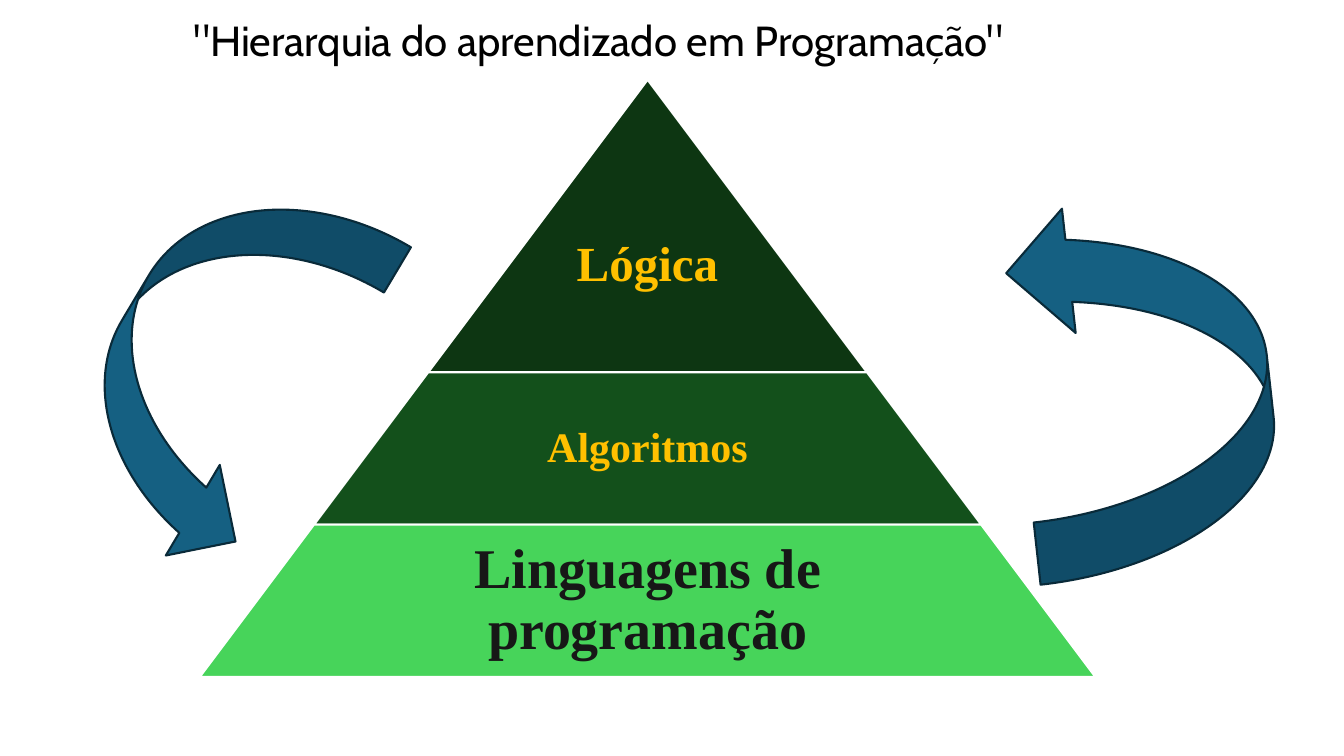
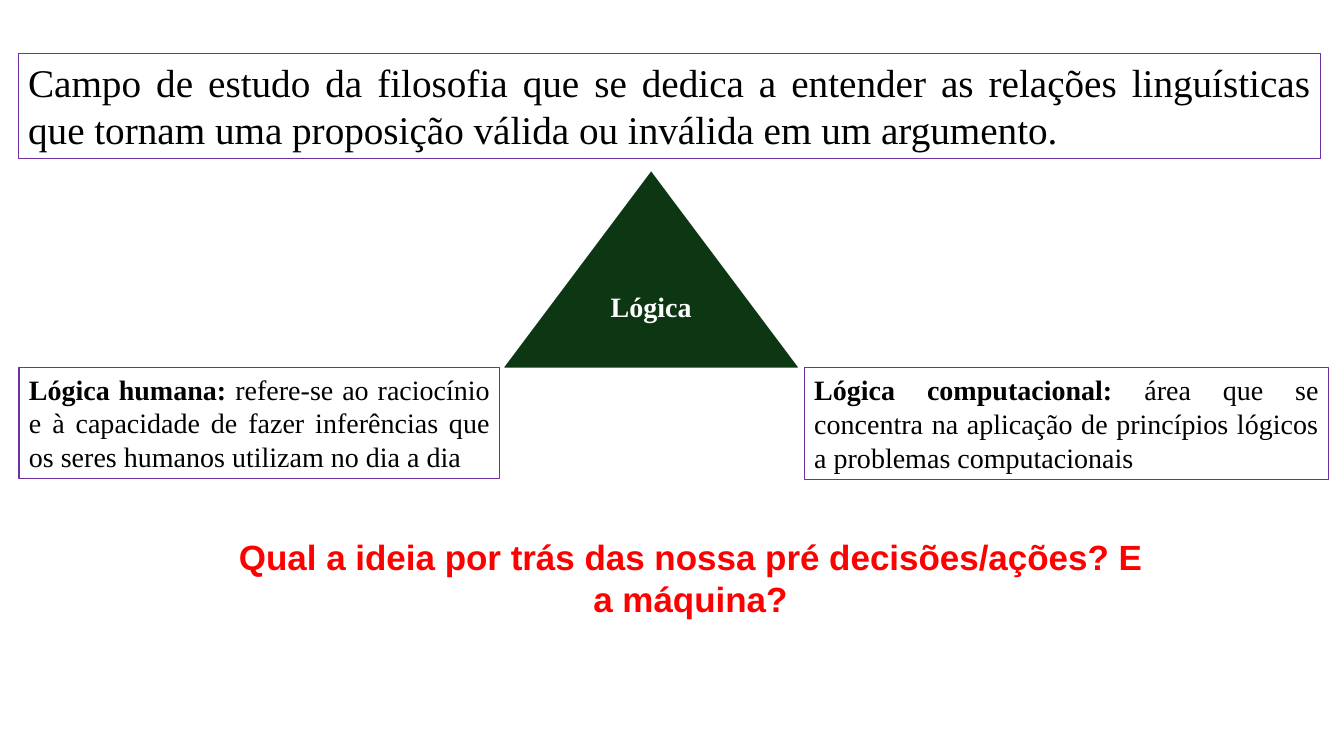
from pptx import Presentation
from pptx.dml.color import RGBColor
from pptx.enum.shapes import MSO_SHAPE
from pptx.enum.text import MSO_ANCHOR, MSO_AUTO_SIZE, PP_ALIGN
from pptx.util import Cm, Pt

TRAPEZOID = MSO_SHAPE.TRAPEZOID
ARROW_RIGHT = MSO_SHAPE.CURVED_RIGHT_ARROW
ARROW_UP = MSO_SHAPE.CURVED_UP_ARROW
TOP, MIDDLE = MSO_ANCHOR.TOP, MSO_ANCHOR.MIDDLE
LEFT, CENTER, JUSTIFY = PP_ALIGN.LEFT, PP_ALIGN.CENTER, PP_ALIGN.JUSTIFY
GROW = MSO_AUTO_SIZE.SHAPE_TO_FIT_TEXT

BLACK = RGBColor(0x00, 0x00, 0x00)
WHITE = RGBColor(0xFF, 0xFF, 0xFF)
DARK_GREEN = RGBColor(0x0D, 0x36, 0x12)
MID_GREEN = RGBColor(0x13, 0x50, 0x1B)
LIGHT_GREEN = RGBColor(0x47, 0xD4, 0x5A)
GOLD = RGBColor(0xFF, 0xC0, 0x00)
CHARCOAL = RGBColor(0x17, 0x17, 0x17)
TEAL = RGBColor(0x15, 0x60, 0x82)
DARK_TEAL = RGBColor(0x09, 0x2A, 0x39)
PURPLE = RGBColor(0x70, 0x30, 0xA0)
RED = RGBColor(0xFF, 0x00, 0x00)

SERIF, SANS, TITLE_FONT = "Times New Roman", "Arial", "Cabin"
SLOPE = 0.75  # horizontal run of a pyramid side per unit of height


def add_text(s, box, runs, size, font=SERIF, color=BLACK, align=LEFT):
    """Text box; runs are (text, bold) pairs."""
    sp = s.shapes.add_textbox(*map(Cm, box))
    tf = sp.text_frame
    tf.word_wrap = True
    tf.auto_size = GROW
    tf.vertical_anchor = TOP
    p = tf.paragraphs[0]
    p.alignment = align
    for text, bold in runs:
        r = p.add_run()
        r.text = text
        r.font.name = font
        r.font.size = Pt(size)
        r.font.bold = bold
        r.font.color.rgb = color
    return sp


def add_framed(s, box, runs, size):
    sp = add_text(s, box, runs, size, align=JUSTIFY)
    sp.line.color.rgb = PURPLE
    sp.line.width = Pt(0.75)


def add_filled(s, kind, box, fill, line):
    sp = s.shapes.add_shape(kind, *map(Cm, box))
    sp.shadow.inherit = False
    sp.fill.solid()
    sp.fill.fore_color.rgb = fill
    sp.line.color.rgb = line
    sp.line.width = Pt(1.5)
    return sp


def add_arrow(s, kind, box, rotation):
    add_filled(s, kind, box, TEAL, DARK_TEAL).rotation = rotation


def add_pyramid(s, apex_x, apex_y, tiers):
    """Tiers run from the apex down: height, fill, label, size, colour, label drop."""
    depth = 0
    for height, fill, label, size, color, drop in tiers:
        y = apex_y + depth
        depth += height
        half = SLOPE * depth
        sp = add_filled(s, TRAPEZOID, (apex_x - half, y, 2 * half, height), fill, WHITE)
        sp.adjustments[0] = SLOPE
        # The label takes the middle 65 % of the tier
        box = (apex_x - 0.65 * half, y + drop, 1.3 * half, height)
        tb = add_text(s, box, [(label, True)], size, color=color, align=CENTER)
        tf = tb.text_frame
        tf.auto_size = MSO_AUTO_SIZE.NONE
        tf.vertical_anchor = MIDDLE
        tf.margin_left = tf.margin_right = tf.margin_top = tf.margin_bottom = Cm(0.12)
        tf.paragraphs[0].line_spacing = 0.9


def build_hierarchy(s):
    add_pyramid(s, 16.32, 2.01, [
        (7.37, DARK_GREEN, "Lógica", 35, GOLD, 1),
        (3.84, MID_GREEN, "Algoritmos", 30, GOLD, 0),
        (3.84, LIGHT_GREEN, "Linguagens de programação", 40, CHARCOAL, 0),
    ])
    add_text(s, (4.62, 0.23, 24.61, 1.55),
             [('"Hierarquia do aprendizado em Programação"', False)], 30, TITLE_FONT)
    add_arrow(s, ARROW_RIGHT, (2.87, 4.17, 5.31, 9.96), 30.8)
    add_arrow(s, ARROW_UP, (24.1, 6.53, 9.47, 6.3), 263.7)


def build_logic(s):
    add_pyramid(s, 16.41, 4.27, [(5.02, DARK_GREEN, "Lógica", 20, WHITE, 1)])
    # Definitions
    add_framed(s, (0.46, 1.35, 32.82, 2.64), [
        ("Campo de estudo da filosofia que se dedica a entender as relações linguísticas "
         "que tornam uma proposição válida ou inválida em um argumento.", False)], 28)
    add_framed(s, (20.27, 9.27, 13.21, 2.82), [
        ("Lógica computacional:", True),
        (" área que se concentra na aplicação de princípios lógicos "
         "a problemas computacionais", False)], 20)
    add_framed(s, (0.48, 9.25, 12.12, 2.82), [
        ("Lógica humana:", True),
        (" refere-se ao raciocínio e à capacidade de fazer inferências que "
         "os seres humanos utilizam no dia a dia", False)], 20)
    # Closing question
    add_text(s, (5.74, 13.36, 23.32, 2.39),
             [("Qual a ideia por trás das nossa pré decisões/ações? E a máquina?", True)],
             25, SANS, RED, CENTER)


def main():
    prs = Presentation()
    prs.slide_width, prs.slide_height = Cm(33.87), Cm(19.05)
    blank = prs.slide_layouts[6]
    for build in (build_hierarchy, build_logic):
        build(prs.slides.add_slide(blank))
    prs.save("out.pptx")


if __name__ == "__main__":
    main()
